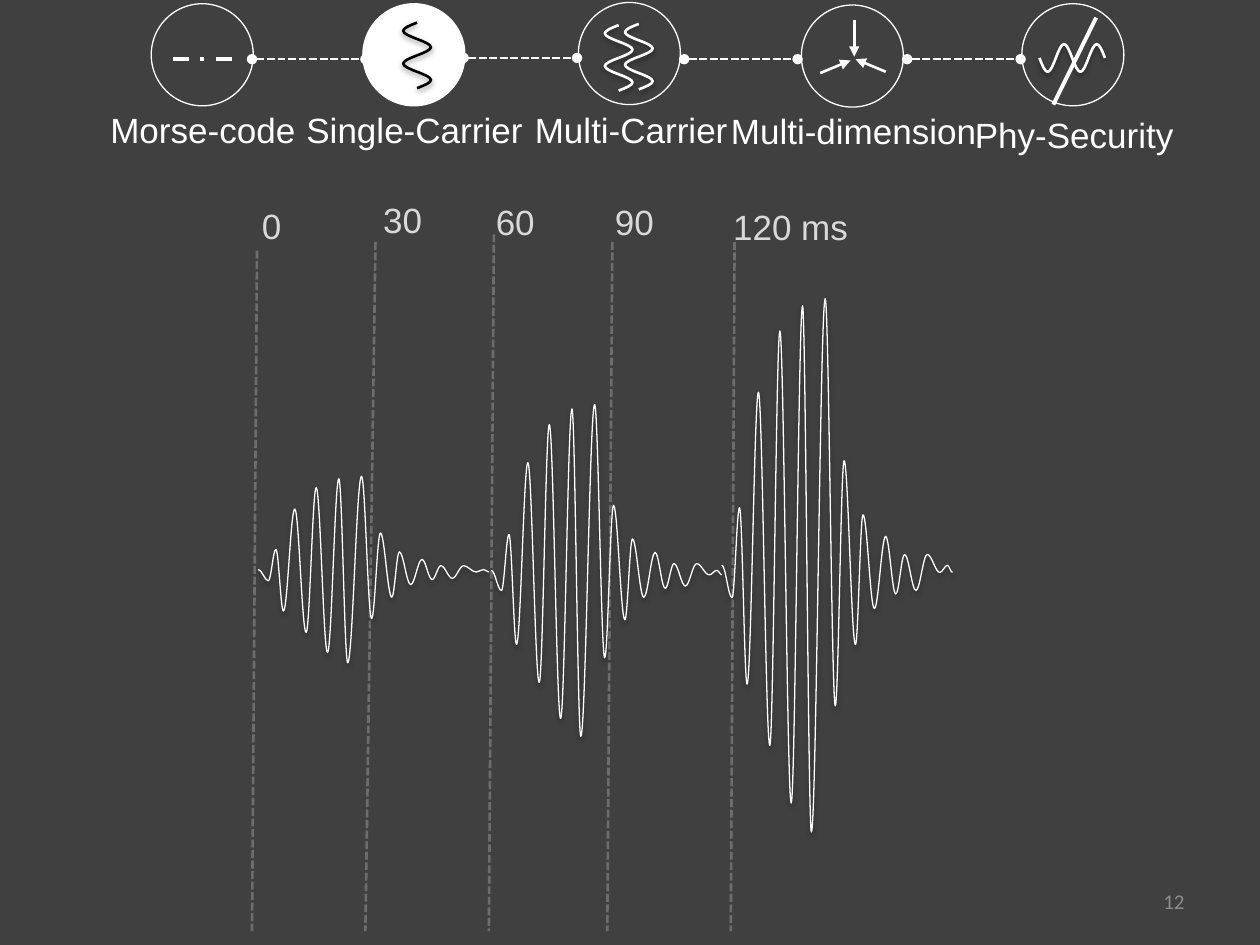
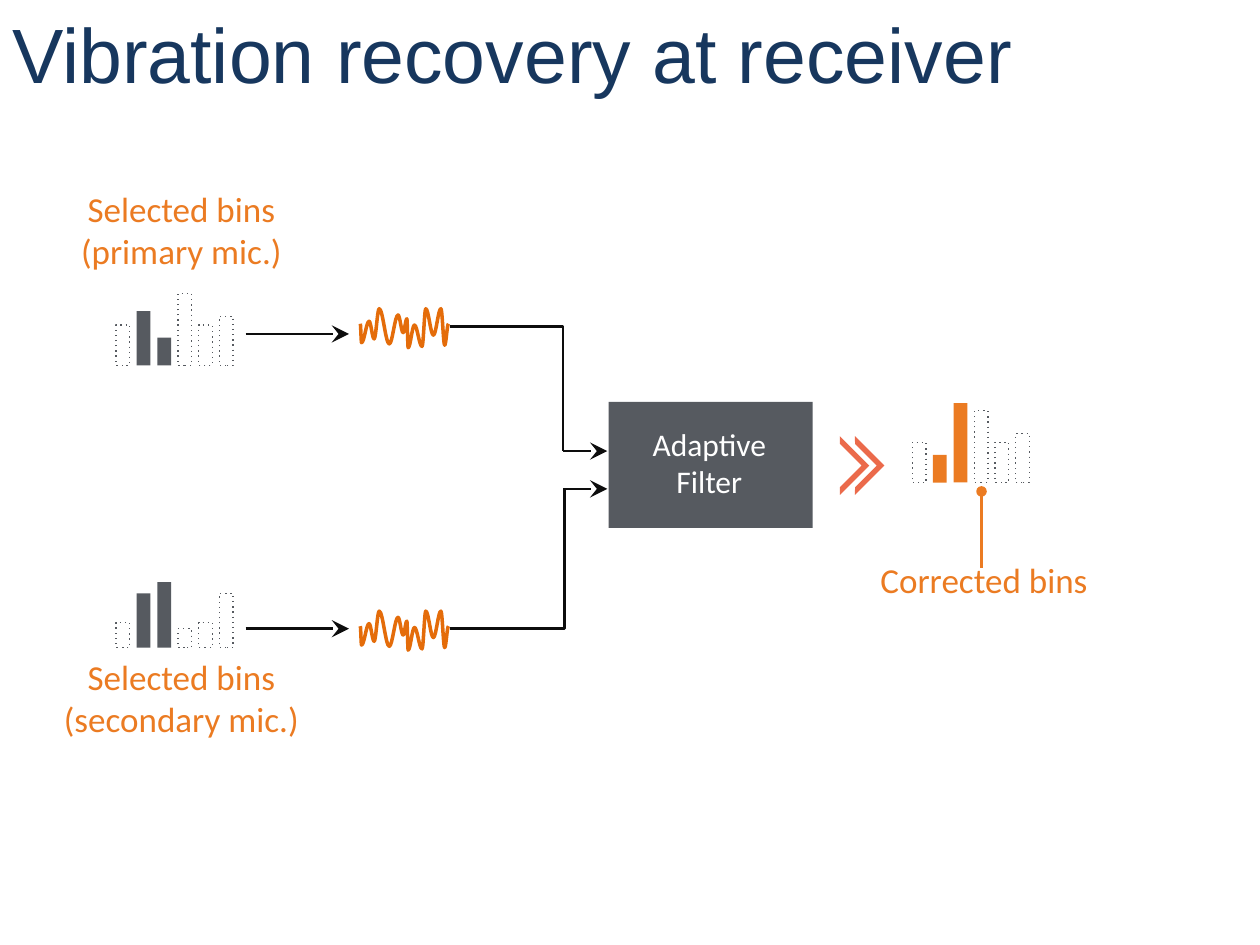
"""Build two slides: a vibration modulation timeline and an adaptive-filter diagram."""
from lxml.etree import SubElement
from pptx import Presentation
from pptx.dml.color import RGBColor
from pptx.enum.shapes import MSO_CONNECTOR, MSO_SHAPE
from pptx.enum.text import MSO_ANCHOR, PP_ALIGN
from pptx.oxml.ns import qn
from pptx.util import Inches, Pt

WHITE = RGBColor(0xFF, 0xFF, 0xFF)
BLACK = RGBColor(0x00, 0x00, 0x00)
CHARCOAL = RGBColor(0x40, 0x40, 0x40)
PALE = RGBColor(0xD9, 0xD9, 0xD9)
PAGE_GREY = RGBColor(0x8C, 0x8C, 0x8C)
NAVY = RGBColor(0x17, 0x37, 0x5E)
SLATE = RGBColor(0x56, 0x5A, 0x60)
ORANGE = RGBColor(0xEB, 0x7B, 0x22)
DEEP_ORANGE = RGBColor(0xE4, 0x6C, 0x0A)
CORAL = RGBColor(0xEB, 0x6A, 0x4B)
INK = RGBColor(0x0D, 0x0D, 0x0D)

BURST = [
    (0, 0.74), (0.08, 0.83), (0.14, 0.58), (0.2, 1.07), (0.29, 0.26), (0.38, 1.24),
    (0.46, 0.09), (0.55, 1.4), (0.64, 0.02), (0.71, 1.48), (0.82, 0), (0.9, 1.13),
    (0.97, 0.45), (1.06, 0.96), (1.12, 0.6), (1.21, 0.86), (1.3, 0.66), (1.38, 0.82),
    (1.45, 0.71), (1.54, 0.81), (1.63, 0.71), (1.73, 0.76), (1.79, 0.74), (1.83, 0.76),
]
NOISE = [
    (0, 0.13), (0.01, 0.28), (0.07, 0.11), (0.11, 0.25), (0.15, 0.01), (0.23, 0.29),
    (0.3, 0.06), (0.34, 0.2), (0.37, 0.09), (0.38, 0.32), (0.43, 0.14), (0.49, 0.31),
    (0.52, 0.01), (0.58, 0.22), (0.64, 0.01), (0.67, 0.3), (0.7, 0.13),
]
HALF_SINE = [0, 0.52, 1, 1, 1, 0.52]
SINE = HALF_SINE + [-y for y in HALF_SINE] + [0]


def add_slide(prs, color):
    """Add a blank slide with a plain background."""
    s = prs.slides.add_slide(prs.slide_layouts[6])
    s.background.fill.solid()
    s.background.fill.fore_color.rgb = color
    return s


def add_text(s, box, text, size, color, font="Arial", align=PP_ALIGN.CENTER):
    """Add a text box with one paragraph per line of text."""
    tb = s.shapes.add_textbox(*map(Inches, box))
    tf = tb.text_frame
    tf.word_wrap = True
    if align == PP_ALIGN.CENTER:
        tf.margin_left = tf.margin_right = 0
    tf.text = text
    for p in tf.paragraphs:
        p.alignment = align
        p.font.size = Pt(size)
        p.font.name = font
        p.font.color.rgb = color
    return tb


def style_line(sp, color, width, dash=None, head=None, tail=None, alpha=None):
    """Set colour, width, dash, arrowheads and opacity of an outline."""
    sp.line.color.rgb = color
    sp.line.width = Pt(width)
    ln = sp._element.spPr.find(qn("a:ln"))
    if alpha:
        SubElement(ln.find(".//" + qn("a:srgbClr")), qn("a:alpha"), val=str(alpha * 1000))
    if dash:
        SubElement(ln, qn("a:prstDash"), val=dash)
    if head:
        SubElement(ln, qn("a:headEnd"), type=head)
    if tail:
        size = "lg" if tail == "stealth" else "med"
        SubElement(ln, qn("a:tailEnd"), type=tail, w=size, len=size)


def add_line(s, start, end, color, width=1.5, kind=MSO_CONNECTOR.STRAIGHT, **style):
    """Add a connector without shadow."""
    cxn = s.shapes.add_connector(kind, *map(Inches, (*start, *end)))
    style_line(cxn, color, width, **style)
    SubElement(cxn._element.spPr, qn("a:effectLst"))
    return cxn


def add_corner(s, start, end):
    """Add an elbow that runs across first and then up or down."""
    cxn = add_line(s, start, end, INK, kind=MSO_CONNECTOR.ELBOW)
    guides = cxn._element.spPr.find(qn("a:prstGeom")).get_or_add_avLst()
    SubElement(guides, qn("a:gd"), name="adj1", fmla="val 100000")


def add_shape(s, kind, box, fill=None):
    """Add a preset shape, filled or hollow, without outline or shadow."""
    sp = s.shapes.add_shape(kind, *map(Inches, box))
    sp.shadow.inherit = False
    sp.line.fill.background()
    if fill is None:
        sp.fill.background()
    else:
        sp.fill.solid()
        sp.fill.fore_color.rgb = fill
    return sp


def add_curve(s, points, color, width, shadow=True):
    """Draw an open Bezier curve; each three points after the first make one segment."""
    points = [(Inches(x), Inches(y)) for x, y in points]
    fb = s.shapes.build_freeform(*points[0], scale=1.0)
    fb.add_line_segments(points[1:], close=False)
    sp = fb.convert_to_shape()
    outline = sp._element.spPr.find(".//" + qn("a:path"))
    steps = outline.findall(qn("a:lnTo"))
    for i in range(0, len(steps), 3):
        segment = SubElement(outline, qn("a:cubicBezTo"))
        for step in steps[i:i + 3]:
            segment.append(step[0])
            outline.remove(step)
    sp.fill.background()
    style_line(sp, color, width)
    sp.shadow.inherit = False
    if shadow:
        effects = sp._element.spPr.find(qn("a:effectLst"))
        outer = SubElement(effects, qn("a:outerShdw"), blurRad=str(Pt(3.1)),
                           dist=str(Pt(1.6)), dir="5400000", rotWithShape="0")
        clr = SubElement(outer, qn("a:srgbClr"), val=str(BLACK))
        SubElement(clr, qn("a:alpha"), val="38000")


def swing(peaks, left, top, stretch=1):
    """Place the peaks and join them by curves that are level at each peak."""
    peaks = [(left + x, top + y * stretch) for x, y in peaks]
    points = peaks[:1]
    for (x0, y0), (x1, y1) in zip(peaks, peaks[1:]):
        pull = 0.36 * (x1 - x0)
        points += [(x0 + pull, y0), (x1 - pull, y1), (x1, y1)]
    return points


def add_carrier(s, x, y, color, upright=True):
    """Draw two periods of a carrier wave, downwards or to the right."""
    for period in range(2):
        wave = [(0.26 * (period + i / 12), 0.11 * a) for i, a in enumerate(SINE)]
        points = [(x - a, y + t) if upright else (x + t, y + a) for t, a in wave]
        add_curve(s, points, color, 1.5)


def add_stage(s, left, top, label, label_box, active=False):
    """Draw the circle and label of one stage."""
    circle = add_shape(s, MSO_SHAPE.OVAL, (left, top, 0.81, 0.81), WHITE if active else None)
    style_line(circle, WHITE, 0.75)
    add_text(s, (*label_box, 0.44), label, 20, WHITE)


def add_bins(s, left, base, heights, color):
    """Draw six frequency bins on a base line, the second and third selected."""
    for i, height in enumerate(heights):
        selected = i in (1, 2)
        box = (left + 0.82 * i / 5, base - height, 0.11, height)
        sp = add_shape(s, MSO_SHAPE.RECTANGLE, box, color if selected else None)
        if not selected:
            style_line(sp, SLATE, 0.75, dash="dot")


def build_timeline(prs):
    """Build the slide of modulation stages and vibration bursts."""
    s = add_slide(prs, CHARCOAL)
    guides = [(2.04, 1.99, 2), (2.98, 1.92, 2.9), (3.92, 1.86, 3.88),
              (4.86, 1.92, 4.82), (5.83, 1.92, 5.8)]
    for x0, top, x1 in guides:
        add_line(s, (x0, top), (x1, 7.39), WHITE, dash="sysDash", alpha=24)

    page = add_text(s, (7.17, 6.95, 2.33, 0.4), "12", 12, PAGE_GREY, "Calibri", PP_ALIGN.RIGHT)
    page.text_frame.vertical_anchor = MSO_ANCHOR.MIDDLE

    add_stage(s, 1.2, 0.03, "Morse-code", (0.64, 0.81, 1.94))
    add_stage(s, 2.88, 0.03, "Single-Carrier", (2.32, 0.81, 1.94), active=True)
    add_stage(s, 4.59, 0.02, "Multi-Carrier", (4.04, 0.81, 1.94))
    add_stage(s, 6.36, 0.04, "Multi-dimension", (5.59, 0.82, 2.37))
    add_stage(s, 8.11, 0.03, "Phy-Security", (7.34, 0.85, 2.37))
    for x, y in [(2, 0.47), (3.68, 0.46), (5.43, 0.47), (7.2, 0.47)]:
        add_line(s, (x, y), (x + 0.9, y), WHITE, dash="sysDash", head="oval", tail="oval")

    add_line(s, (1.84, 0.47), (1.36, 0.47), WHITE, 2.25, dash="dashDot")
    add_carrier(s, 3.31, 0.18, BLACK)
    add_carrier(s, 4.91, 0.2, WHITE)
    add_carrier(s, 5.07, 0.19, WHITE)
    for start, end in [((6.78, 0.16), (6.78, 0.45)), ((7.03, 0.57), (6.79, 0.47)),
                       ((6.51, 0.58), (6.75, 0.48))]:
        add_line(s, start, end, WHITE, tail="triangle")
    add_carrier(s, 8.25, 0.46, WHITE, upright=False)
    add_line(s, (8.7, 0.14), (8.36, 0.83), WHITE, 2.25)

    ticks = [("0", 1.9, 1.57, 0.51), ("30", 2.94, 1.53, 0.51), ("60", 3.81, 1.54, 0.56),
             ("90", 4.75, 1.54, 0.57), ("120 ms", 5.66, 1.58, 1.23)]
    for label, left, top, width in ticks:
        add_text(s, (left, top, width, 0.44), label, 20, PALE)
    for left, top, stretch in [(2.05, 3.78, 1), (3.9, 3.21, 1.78), (5.73, 2.37, 2.86)]:
        add_curve(s, swing(BURST, left, top, stretch), WHITE, 0.75)


def build_recovery(prs):
    """Build the slide of the adaptive filter between microphones and output."""
    s = add_slide(prs, WHITE)
    add_bins(s, 0.92, 2.9, (0.32, 0.43, 0.22, 0.57, 0.32, 0.39), SLATE)
    add_bins(s, 0.92, 5.14, (0.2, 0.43, 0.52, 0.15, 0.2, 0.43), SLATE)
    add_bins(s, 7.24, 3.83, (0.32, 0.22, 0.63, 0.57, 0.32, 0.39), ORANGE)
    labels = [("Selected bins\n(primary mic.)", 0.06, 1.44, 0.77),
              ("Selected bins\n(secondary mic.)", 0.06, 5.15, 0.77),
              ("Corrected bins", 6.43, 4.38, 0.44)]
    for label, left, top, height in labels:
        add_text(s, (left, top, 2.76, height), label, 20, ORANGE, "Calibri")

    add_shape(s, MSO_SHAPE.RECTANGLE, (4.83, 3.19, 1.62, 1), SLATE)
    add_text(s, (5.05, 3.32, 1.16, 0.71), "Adaptive\nFilter", 18, WHITE, "Calibri")
    for left in (6.5, 6.62):
        chevron = add_shape(s, MSO_SHAPE.HALF_FRAME, (left, 3.53, 0.33, 0.33), CORAL)
        chevron.adjustments[0] = chevron.adjustments[1] = 0.13
        chevron.rotation = 135

    for wave_top, bins_y, branch_y, filter_y, x in [(2.44, 2.65, 2.59, 3.58, 4.47),
                                                    (4.84, 4.99, 4.99, 3.88, 4.48)]:
        add_line(s, (1.95, bins_y), (2.77, bins_y), INK, tail="stealth")
        add_corner(s, (3.57, branch_y), (x, filter_y))
        add_line(s, (4.47, filter_y), (4.82, filter_y), INK, tail="stealth")
        add_curve(s, swing(NOISE, 2.86, wave_top), DEEP_ORANGE, 2, shadow=False)
    add_line(s, (7.79, 3.9), (7.79, 4.51), ORANGE, 2, head="oval")
    add_text(s, (0, 0, 10, 0.84), "Vibration recovery at receiver", 44, NAVY,
             align=PP_ALIGN.LEFT)


def main():
    """Build and save the presentation."""
    prs = Presentation()
    prs.slide_width, prs.slide_height = Inches(10), Inches(7.5)
    build_timeline(prs)
    build_recovery(prs)
    prs.save("out.pptx")


if __name__ == "__main__":
    main()
